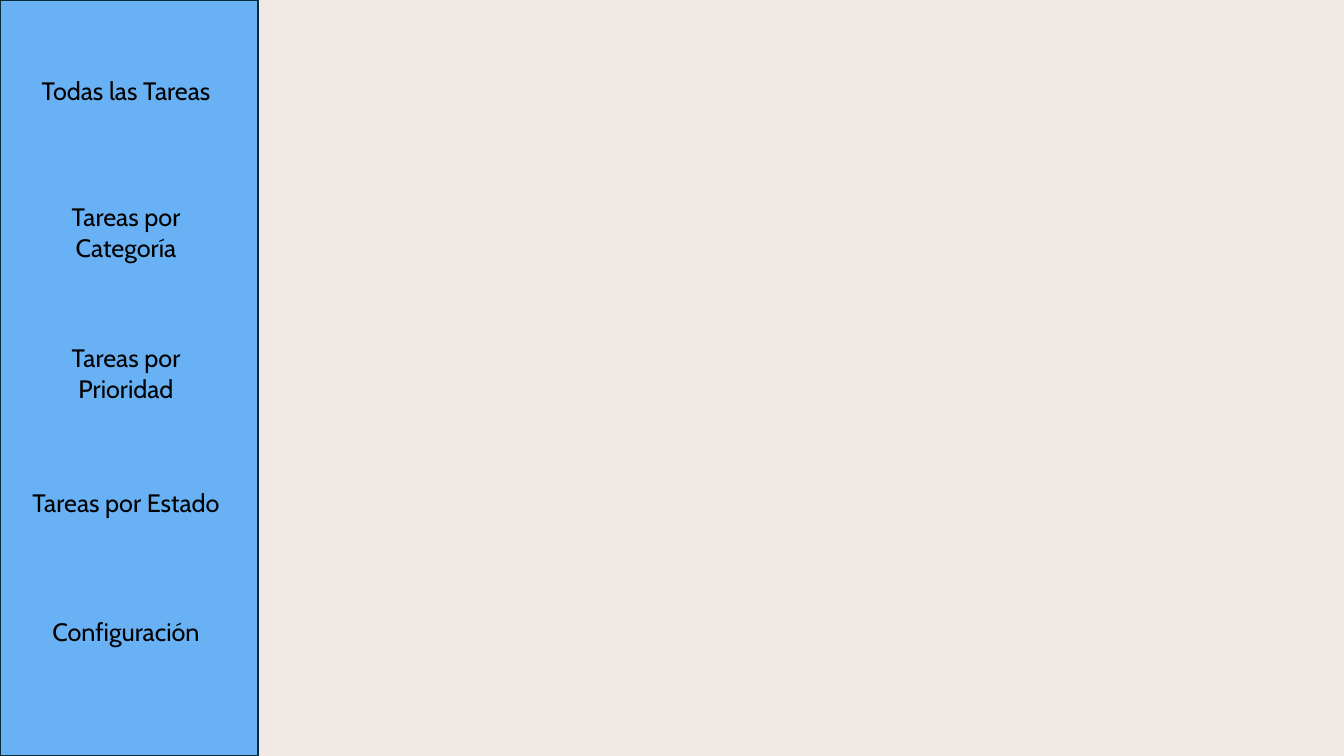
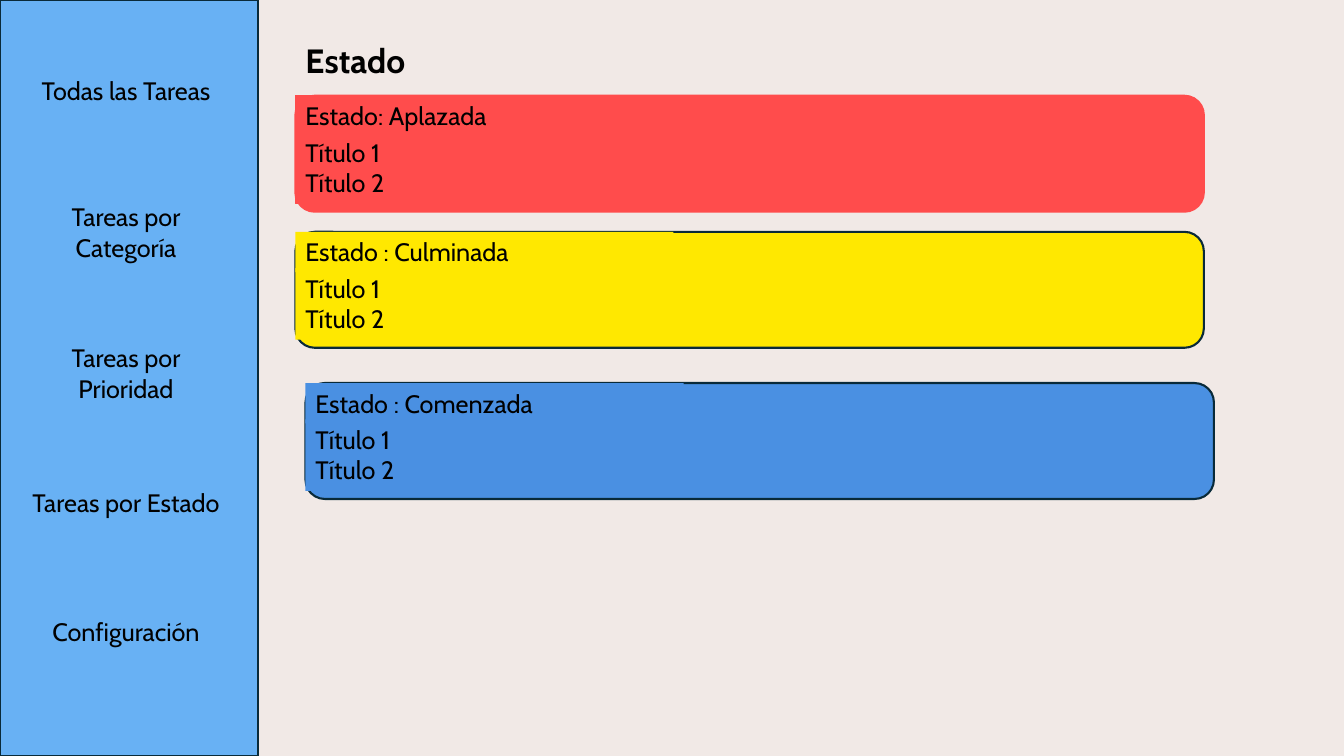
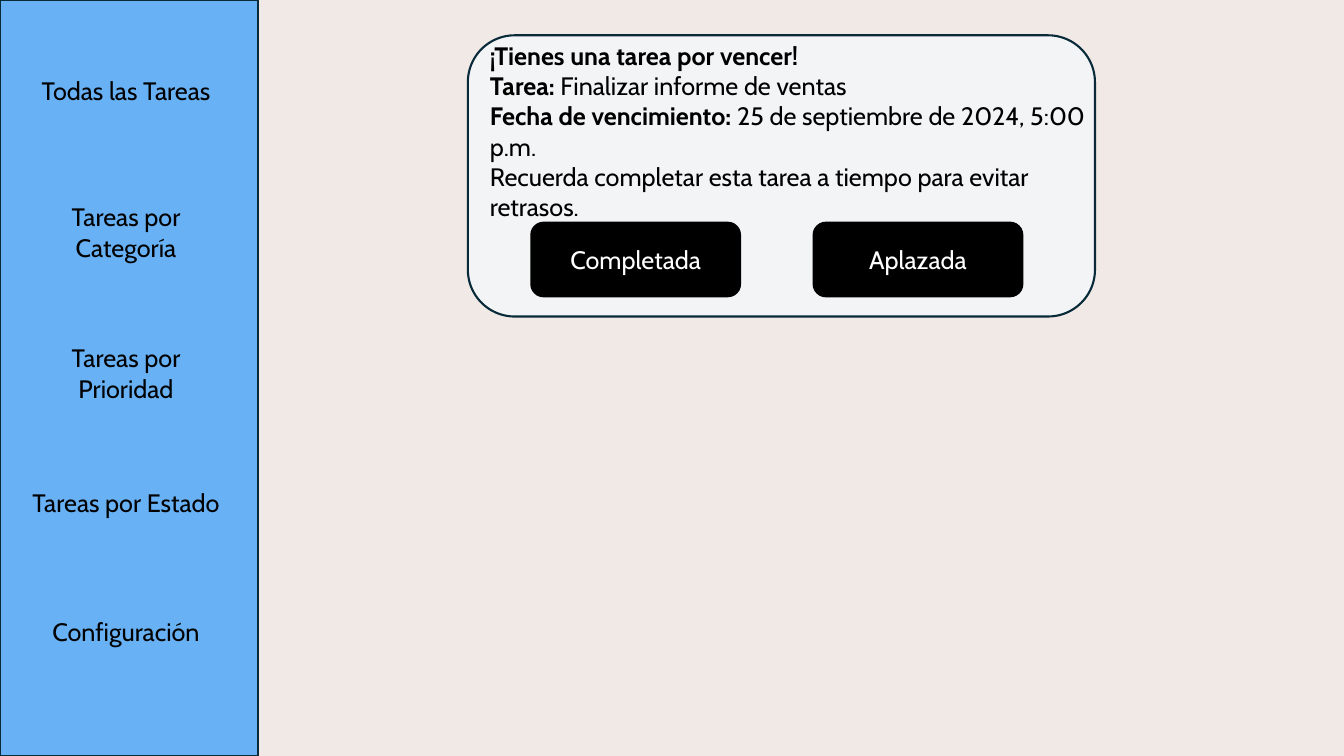
from pptx import Presentation
from pptx import util as u
from pptx.dml.color import RGBColor
from pptx.enum import shapes, text

FONT = "Cabin"
COLORS = {
    "page": "F1E9E6", "menu": "68B1F4", "menu_text": "010101", "edge": "092A39",
    "black": "000000", "white": "FFFFFF", "notice": "F3F4F6",
    "postponed": "FF4C4C", "finished": "FFE800", "started": "4A90E2",
}
RECT = shapes.MSO_SHAPE.RECTANGLE
ROUND = shapes.MSO_SHAPE.ROUNDED_RECTANGLE
LEFT, CENTER = text.PP_ALIGN.LEFT, text.PP_ALIGN.CENTER
TOP, MIDDLE = text.MSO_ANCHOR.TOP, text.MSO_ANCHOR.MIDDLE
TITLE_ONLY, BLANK = 5, 6

MENU = [("Todas las Tareas", 0.35), ("Tareas por Categoría", 1.75),
        ("Tareas por Prioridad", 3.15), ("Tareas por Estado", 4.43),
        ("Configuración", 5.71)]
# heading, left, top, fill, card edge, strip edge
CARDS = [("Estado: Aplazada", 2.93, 0.95, "postponed", "postponed", "postponed"),
         ("Estado : Culminada", 2.93, 2.3, "finished", "edge", None),
         ("Estado : Comenzada", 3.03, 3.8, "started", "edge", None)]
TASKS = ["Título 1", "Título 2"]
# paragraphs of (words, bold) spans; None is a line break
NOTICE = [
    [("¡Tienes una tarea por vencer!", True)],
    [("Tarea:", True), (" Finalizar informe de ventas", False), None,
     ("Fecha de vencimiento:", True), (" 25 de septiembre de 2024, 5:00 p.m.", False)],
    [("Recuerda completar esta tarea a tiempo para evitar retrasos.", False)],
]


def color(name):
    return RGBColor.from_string(COLORS[name])


def inches(*lengths):
    return [u.Inches(length) for length in lengths]


def plain(lines):
    return [[(line, False)] for line in lines]


def write(shape, paragraphs, ink="black", size=18, align=LEFT, anchor=TOP, grow=False):
    """Fill a shape with paragraphs made of (words, bold) spans."""
    frame = shape.text_frame
    fit = text.MSO_AUTO_SIZE.SHAPE_TO_FIT_TEXT if grow else text.MSO_AUTO_SIZE.NONE
    frame_format = {"word_wrap": True, "vertical_anchor": anchor, "auto_size": fit}
    for name, value in frame_format.items():
        setattr(frame, name, value)
    for index, spans in enumerate(paragraphs):
        para = frame.add_paragraph() if index else frame.paragraphs[0]
        para.alignment = align
        for part in spans:
            if part is None:
                para.add_line_break()
                continue
            span = para.add_run()
            span.text, bold = part
            for name, value in {"name": FONT, "size": u.Pt(size), "bold": bold}.items():
                setattr(span.font, name, value)
            span.font.color.rgb = color(ink)


def add_box(parent, kind, box, fill, edge=None, weight=1.5):
    shape = parent.shapes.add_shape(kind, *inches(*box))
    shape.shadow.inherit = False
    shape.fill.solid()
    shape.fill.fore_color.rgb = color(fill)
    if edge:
        shape.line.color.rgb = color(edge)
        shape.line.width = u.Pt(weight)
    else:
        shape.line.fill.background()
    return shape


def add_menu(page, left=0, top=0):
    menu = page.shapes.add_group_shape()
    add_box(menu, RECT, (left, top, 2.56, 7.5), "menu", "edge")
    for label, offset in MENU:
        item = add_box(menu, ROUND, (left + 0.13, top + offset, 2.24, 1.1), "menu")
        write(item, plain([label]), "menu_text", align=CENTER, anchor=MIDDLE)


def add_card(page, heading, left, top, fill, edge, strip_edge):
    card = page.shapes.add_group_shape()
    add_box(card, ROUND, (left, top, 9.01, 1.15), fill, edge)
    strips = [([heading], 0, 3.75, 0.4), (TASKS, 0.36, 4.29, 0.71)]
    for lines, offset, width, height in strips:
        strip = add_box(card, RECT, (left, top + offset, width, height),
                        fill, strip_edge, 0.75)
        write(strip, plain(lines), grow=True)


def add_notice(page, left, top):
    add_box(page, ROUND, (left, top, 6.22, 2.79), "notice", "edge")
    message = page.shapes.add_textbox(*inches(left + 0.12, top, 6.22, 2.22))
    write(message, NOTICE, grow=True)
    # Answer buttons
    for index, label in enumerate(["Completada", "Aplazada"]):
        box = (left + 0.63 + 2.8 * index, top + 1.86, 2.07, 0.73)
        button = add_box(page, ROUND, box, "black", "black")
        write(button, plain([label]), "white", align=CENTER, anchor=MIDDLE)


def set_title(page, words, box):
    title = page.shapes.title
    title.left, title.top, title.width, title.height = inches(*box)
    write(title, [[(words, True)]], size=24, grow=True)


def add_page(deck, layout):
    return deck.slides.add_slide(deck.slide_layouts[layout])


def main():
    deck = Presentation()
    deck.slide_width, deck.slide_height = inches(13.33, 7.5)
    backdrop = deck.slide_master.background.fill
    backdrop.solid()
    backdrop.fore_color.rgb = color("page")

    # Home: menu only
    add_menu(add_page(deck, BLANK))

    # Tasks by state
    states = add_page(deck, TITLE_ONLY)
    set_title(states, "Estado", (2.93, 0.35, 2.13, 0.5))
    for card in CARDS:
        add_card(states, *card)
    add_menu(states)

    # Reminder
    reminder = add_page(deck, BLANK)
    add_menu(reminder)
    add_notice(reminder, 4.64, 0.35)

    deck.save("out.pptx")


if __name__ == "__main__":
    main()
